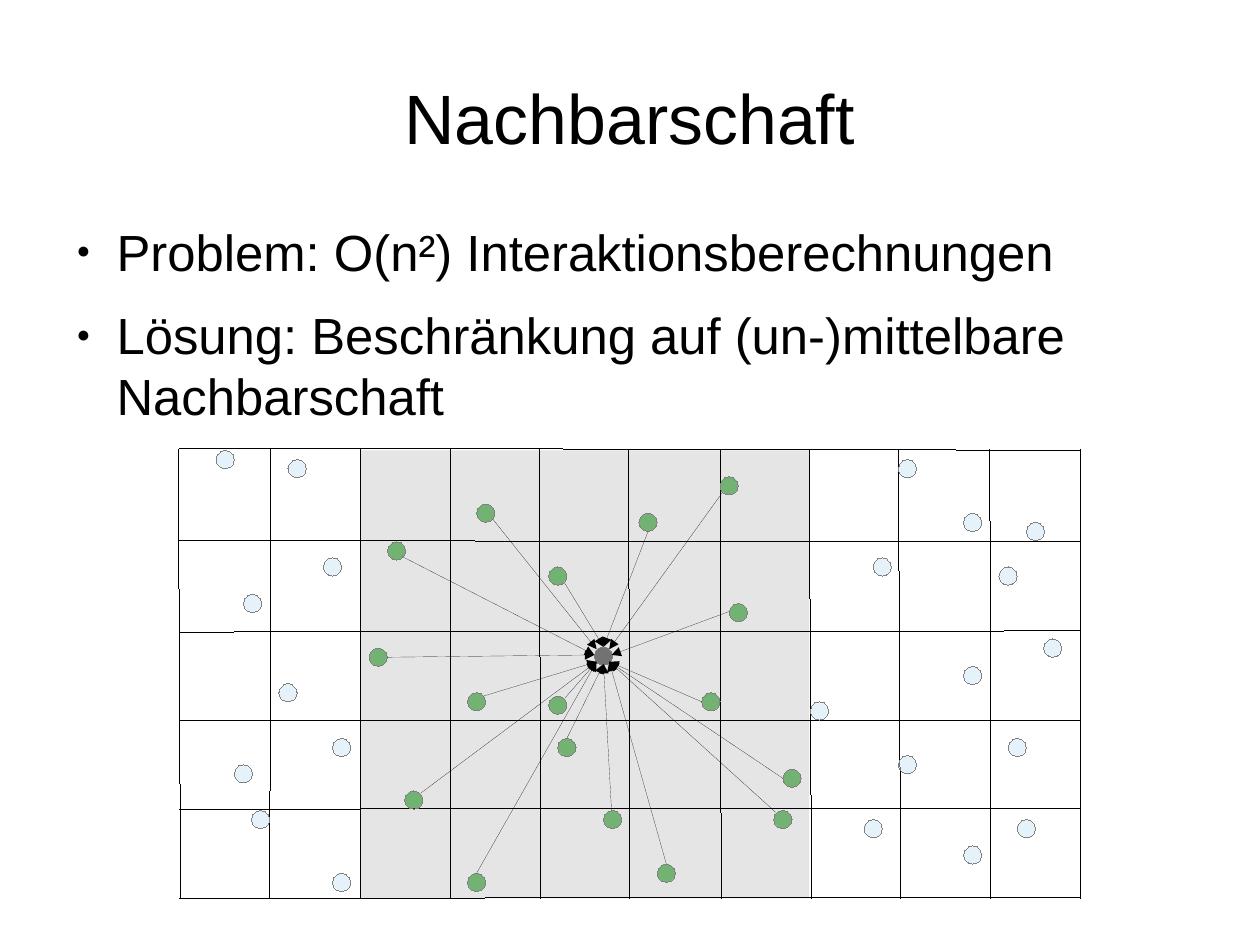
from lxml import etree
from pptx import Presentation
from pptx.dml.color import RGBColor
from pptx.enum.shapes import MSO_CONNECTOR, MSO_SHAPE
from pptx.enum.text import MSO_ANCHOR, PP_ALIGN
from pptx.oxml.ns import qn
from pptx.util import Inches, Pt

STRAIGHT = MSO_CONNECTOR.STRAIGHT
ELLIPSE = MSO_SHAPE.OVAL
PROCESS = MSO_SHAPE.FLOWCHART_PROCESS
CENTER, LEFT = PP_ALIGN.CENTER, PP_ALIGN.LEFT
MIDDLE, TOP = MSO_ANCHOR.MIDDLE, MSO_ANCHOR.TOP

COLORS = {
    "text": "000000",
    "line": "000000",
    "outline": "808080",
    "region": "CCCCCC",
    "distant": "CFE7F5",
    "neighbour": "008000",
    "center": "000000",
}

# The page measures 28 by 21 centimetres
CM_PER_INCH = 2.54
PAGE_WIDTH, PAGE_HEIGHT = 28 / CM_PER_INCH, 21 / CM_PER_INCH

DOT_SIZE = 0.16
GRID_LEFT, GRID_RIGHT = 1.57, 9.45
GRID_TOP, GRID_BOTTOM = 3.93, 7.86

# Heights of each grid row line at its left and right end
ROW_LINES = [(3.92, 3.94), (4.73, 4.74), (5.53, 5.52),
             (6.3, 6.3), (7.08, 7.07), (7.86, 7.85)]
# Horizontal places of each grid column line at its top and bottom end
COLUMN_LINES = [(1.56, 1.58), (2.37, 2.36), (3.15, 3.15), (3.94, 3.94),
                (4.72, 4.73), (5.5, 5.51), (6.3, 6.31), (7.08, 7.1),
                (7.86, 7.88), (8.66, 8.67), (9.45, 9.45)]

DISTANT_DOTS = [
    (2.52, 4.02), (2.83, 4.88), (2.44, 5.98), (2.13, 5.2), (1.89, 3.94),
    (2.05, 6.69), (2.91, 6.46), (7.64, 4.88), (7.09, 6.14), (7.86, 4.02),
    (8.43, 5.83), (7.86, 6.61), (8.43, 4.49), (8.82, 6.46), (8.98, 4.57),
    (8.74, 4.96), (9.13, 5.59), (2.91, 7.64), (2.2, 7.09), (7.56, 7.17),
    (8.43, 7.4), (8.9, 7.17),
]
NEIGHBOUR_DOTS = [
    (3.23, 5.67), (4.17, 4.41), (4.09, 6.06), (5.59, 4.49), (4.8, 4.96),
    (4.88, 6.46), (3.39, 4.74), (3.54, 6.92), (6.38, 5.28), (6.14, 6.06),
    (6.85, 6.73), (6.3, 4.17), (4.8, 6.09), (4.09, 7.64), (5.28, 7.09),
    (5.75, 7.56), (6.77, 7.09),
]
CENTER_DOT = (5.2, 5.66)

# Arrow starts, grouped by the point on the center dot they reach
INTERACTIONS = {
    (5.28, 5.66): [(4.94, 5.1), (5.67, 4.65)],
    (5.22, 5.68): [(4.31, 4.54)],
    (5.2, 5.73): [(3.52, 4.87), (3.39, 5.75)],
    (5.22, 5.79): [(4.23, 6.09), (3.68, 6.94), (4.94, 6.11), (4.17, 7.64)],
    (5.28, 5.81): [(4.96, 6.46), (5.35, 7.09)],
    (5.33, 5.79): [(5.83, 7.56), (6.79, 7.11), (6.85, 6.81), (6.14, 6.14)],
    (5.35, 5.73): [(6.38, 5.35)],
    (5.33, 5.68): [(6.32, 4.31)],
}


class Sketch:
    """Holds the slide and the shared style."""

    font = "Arial"

    def __init__(self, slide):
        self.shapes = slide.shapes

    def color(self, name):
        return RGBColor.from_string(COLORS[name])

    def text(self, left, top, width, height, lines, size, align=LEFT, anchor=TOP):
        box = self.shapes.add_textbox(
            Inches(left), Inches(top), Inches(width), Inches(height))
        frame = box.text_frame
        frame.word_wrap = True
        frame.vertical_anchor = anchor
        frame.margin_left = frame.margin_right = 0
        frame.margin_top = frame.margin_bottom = 0
        frame.text = "\n".join(lines)
        for para in frame.paragraphs:
            para.alignment = align
            for span in para.runs:
                span.font.name = self.font
                span.font.size = Pt(size)
                span.font.color.rgb = self.color("text")
        return frame

    def bullets(self, frame):
        for para in frame.paragraphs:
            para.space_after = Pt(14.2)
            props = para._p.get_or_add_pPr()
            props.set("marL", str(Inches(0.47)))
            props.set("indent", str(Inches(-0.35)))
            etree.SubElement(props, qn("a:buSzPct"), val="45000")
            etree.SubElement(props, qn("a:buFont"), typeface=self.font)
            etree.SubElement(props, qn("a:buChar"), char="●")

    def hairline(self, line, color):
        """Give a line its color and an explicit width of zero."""
        line.color.rgb = self.color(color)
        outline = line._get_or_add_ln()
        outline.set("w", "0")
        return outline

    def shape(self, kind, left, top, width, height, fill, outline=None):
        """Add a half transparent preset shape."""
        shape = self.shapes.add_shape(
            kind, Inches(left), Inches(top), Inches(width), Inches(height))
        shape.shadow.inherit = False
        shape.fill.solid()
        shape.fill.fore_color.rgb = self.color(fill)
        tint = shape.fill._xPr.find(qn("a:solidFill"))[0]
        etree.SubElement(tint, qn("a:alpha"), val="50000")
        if outline:
            self.hairline(shape.line, outline)
        else:
            shape.line.fill.background()

    def dot(self, left, top, fill):
        self.shape(ELLIPSE, left, top, DOT_SIZE, DOT_SIZE, fill, "outline")

    def line(self, start, end, arrow=False):
        connector = self.shapes.add_connector(
            STRAIGHT, *(Inches(value) for value in (*start, *end)))
        outline = self.hairline(connector.line, "line")
        if arrow:
            etree.SubElement(outline, qn("a:tailEnd"), type="triangle")
        etree.SubElement(connector._element.spPr, qn("a:effectLst"))


def main():
    deck = Presentation()
    deck.slide_width = Inches(PAGE_WIDTH)
    deck.slide_height = Inches(PAGE_HEIGHT)
    sketch = Sketch(deck.slides.add_slide(deck.slide_layouts[6]))

    sketch.shape(PROCESS, 3.15, 3.94, 3.93, 3.92, "region")
    sketch.text(0.55, 0.33, 9.92, 1.38, ["Nachbarschaft"], 44, CENTER, MIDDLE)
    body = sketch.text(0.55, 1.93, 9.7, 4.79, [
        "Problem: O(n²) Interaktionsberechnungen",
        "Lösung: Beschränkung auf (un-)mittelbare Nachbarschaft",
    ], 32)
    sketch.bullets(body)

    for left_y, right_y in ROW_LINES:
        sketch.line((GRID_LEFT, left_y), (GRID_RIGHT, right_y))
    for top_x, bottom_x in COLUMN_LINES:
        sketch.line((top_x, GRID_TOP), (bottom_x, GRID_BOTTOM))

    for place in DISTANT_DOTS:
        sketch.dot(*place, "distant")
    for place in NEIGHBOUR_DOTS:
        sketch.dot(*place, "neighbour")
    sketch.dot(*CENTER_DOT, "center")

    for contact, starts in INTERACTIONS.items():
        for start in starts:
            sketch.line(start, contact, arrow=True)

    deck.save("out.pptx")


if __name__ == "__main__":
    main()
